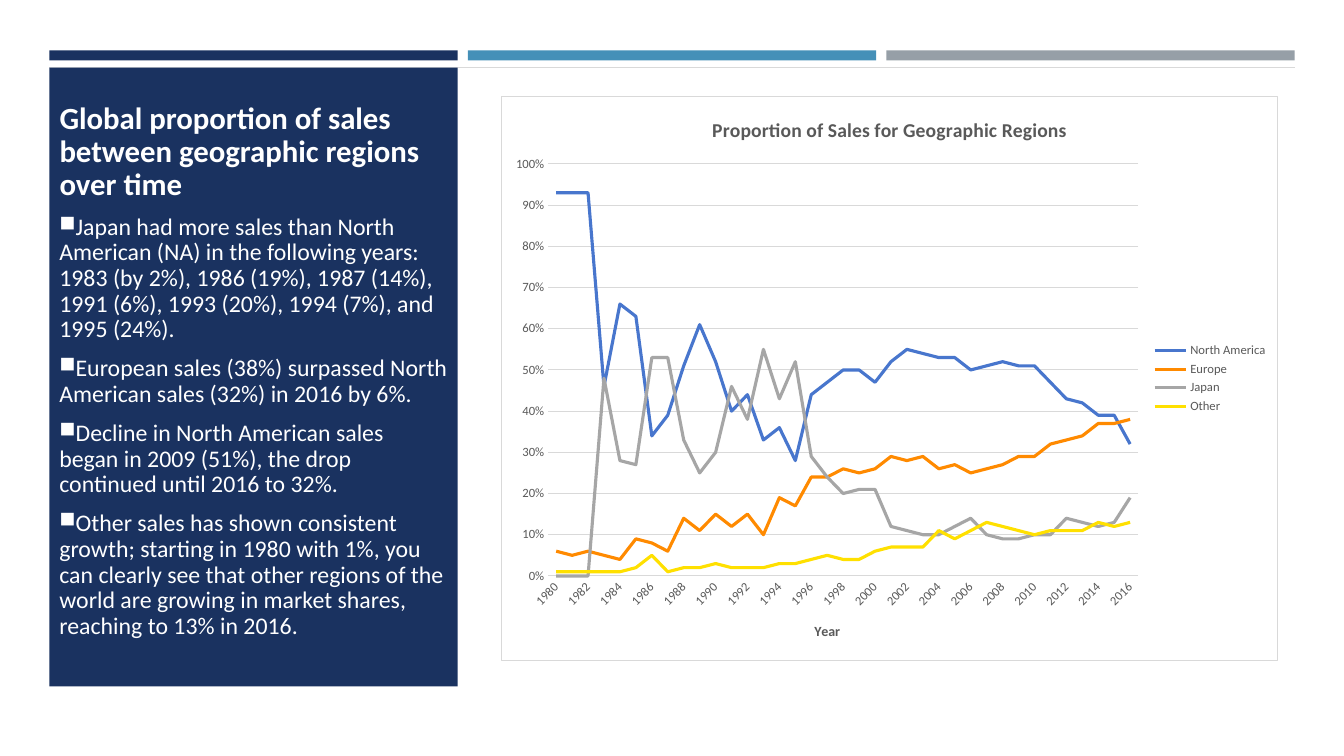
from dataclasses import dataclass

from lxml import etree
from pptx import Presentation
from pptx.chart.data import CategoryChartData
from pptx.dml.color import RGBColor
from pptx.enum.chart import XL_CHART_TYPE, XL_LEGEND_POSITION, XL_TICK_MARK
from pptx.enum.shapes import MSO_CONNECTOR, MSO_SHAPE
from pptx.enum.text import MSO_ANCHOR, MSO_AUTO_SIZE, PP_ALIGN
from pptx.oxml import parse_xml
from pptx.oxml.ns import nsdecls, qn
from pptx.util import Inches, Pt

RECT = MSO_SHAPE.RECTANGLE
STRAIGHT = MSO_CONNECTOR.STRAIGHT
LINE_CHART = XL_CHART_TYPE.LINE
LEGEND_RIGHT = XL_LEGEND_POSITION.RIGHT
NO_TICK = XL_TICK_MARK.NONE
TOP = MSO_ANCHOR.TOP
LEFT = PP_ALIGN.LEFT
NO_FIT = MSO_AUTO_SIZE.NONE

FONT = "Calibri"
COLORS = {
    "navy": "1A3260", "blue": "4590B8", "slate": "969FA7", "white": "FFFFFF",
    "rule": "D9D9D9", "label": "595959", "america": "4876CD",
    "europe": "FF8A00", "japan": "A6A6A6", "other": "FFE000",
}

# Three equal columns, in inches
MARGIN, COL_W, GAP = 0.49, 4.05, 0.1
BAND_TOP, BAND_H = 0.5, 0.1
PANEL_TOP, PANEL_H = 0.67, 6.14


@dataclass
class Region:
    name: str
    color: str
    percents: list[int]


YEARS = range(1980, 2017)
REGIONS = [
    Region("North America", "america", [
        93, 93, 93, 46, 66, 63, 34, 39, 51, 61, 52, 40, 44, 33, 36, 28, 44, 47, 50,
        50, 47, 52, 55, 54, 53, 53, 50, 51, 52, 51, 51, 47, 43, 42, 39, 39, 32]),
    Region("Europe", "europe", [
        6, 5, 6, 5, 4, 9, 8, 6, 14, 11, 15, 12, 15, 10, 19, 17, 24, 24, 26,
        25, 26, 29, 28, 29, 26, 27, 25, 26, 27, 29, 29, 32, 33, 34, 37, 37, 38]),
    Region("Japan", "japan", [
        0, 0, 0, 48, 28, 27, 53, 53, 33, 25, 30, 46, 38, 55, 43, 52, 29, 24, 20,
        21, 21, 12, 11, 10, 10, 12, 14, 10, 9, 9, 10, 10, 14, 13, 12, 13, 19]),
    Region("Other", "other", [
        1, 1, 1, 1, 1, 2, 5, 1, 2, 2, 3, 2, 2, 2, 3, 3, 4, 5, 4,
        4, 6, 7, 7, 7, 11, 9, 11, 13, 12, 11, 10, 11, 11, 11, 13, 12, 13]),
]

TITLE = "Global proportion of sales between geographic regions over time"
FINDINGS = [
    "Japan had more sales than North American (NA) in the following years: "
    "1983 (by 2%), 1986 (19%), 1987 (14%), 1991 (6%), 1993 (20%), 1994 (7%), "
    "and 1995 (24%).",
    "European sales (38%) surpassed North American sales (32%) in 2016 by 6%.",
    "Decline in North American sales began in 2009 (51%), the drop continued "
    "until 2016 to 32%.",
    "Other sales has shown consistent growth; starting in 1980 with 1%, you can "
    "clearly see that other regions of the world are growing in market shares, "
    "reaching to 13% in 2016.",
]


def rgb(name: str) -> RGBColor:
    return RGBColor.from_string(COLORS[name])


def col_left(col: int) -> float:
    return MARGIN + col * (COL_W + GAP)


def add_block(s, col: int, top: float, height: float, color: str) -> None:
    sp = s.shapes.add_shape(RECT, Inches(col_left(col)), Inches(top),
                            Inches(COL_W), Inches(height))
    sp.shadow.inherit = False
    sp.fill.solid()
    sp.fill.fore_color.rgb = rgb(color)
    sp.line.fill.background()


def style_font(font, size: float, color: str, bold: bool = False) -> None:
    font.name, font.size, font.bold = FONT, Pt(size), bold
    font.color.rgb = rgb(color)


def style_frame(tf) -> None:
    tf.word_wrap = True
    tf.auto_size = NO_FIT
    tf.vertical_anchor = TOP


def style_paragraph(p, size: float, bold: bool = False) -> None:
    p.alignment = LEFT
    p.line_spacing = 0.9
    p.space_after = Pt(6)
    for r in p.runs:
        style_font(r.font, size, "white", bold)


def add_bullet(p) -> None:
    pPr = p._p.get_or_add_pPr()
    pPr.set("marL", "0")
    pPr.set("indent", str(-Inches(0.25)))
    etree.SubElement(pPr, qn("a:buSzPct")).set("val", "92000")
    etree.SubElement(pPr, qn("a:buChar")).set("char", "■")


def set_caption(holder, text: str, size: float) -> None:
    tf = holder.text_frame
    tf.text = text
    style_font(tf.paragraphs[0].runs[0].font, size, "label", True)


def set_plot_layout(chart, x: float, y: float, w: float, h: float) -> None:
    plot_area = chart._chartSpace.chart.plotArea
    for old in plot_area.findall(qn("c:layout")):
        plot_area.remove(old)
    shares = "".join(f'<c:{tag} val="{val}"/>' for tag, val in zip("xywh", (x, y, w, h)))
    plot_area.insert(0, parse_xml(
        f'<c:layout {nsdecls("c")}><c:manualLayout><c:layoutTarget val="inner"/>'
        f'<c:xMode val="edge"/><c:yMode val="edge"/>{shares}'
        '</c:manualLayout></c:layout>'))


def set_chart_border(chart) -> None:
    chart._chartSpace.chart.addnext(parse_xml(
        f'<c:spPr {nsdecls("c", "a")}><a:solidFill><a:srgbClr val="{COLORS["white"]}"/>'
        f'</a:solidFill><a:ln w="{Pt(0.75)}"><a:solidFill>'
        f'<a:srgbClr val="{COLORS["rule"]}"/></a:solidFill></a:ln></c:spPr>'))


def style_line(line, color: str, width: float) -> None:
    line.color.rgb = rgb(color)
    line.width = Pt(width)


prs = Presentation()
prs.slide_width, prs.slide_height = Inches(13.33), Inches(7.5)
s = prs.slides.add_slide(prs.slide_layouts[5])

# Top bands, rule and side panel
for col, color in enumerate(("navy", "blue", "slate")):
    add_block(s, col, BAND_TOP, BAND_H, color)
rule = s.shapes.add_connector(STRAIGHT, Inches(col_left(0)), Inches(PANEL_TOP),
                              Inches(col_left(2) + COL_W), Inches(PANEL_TOP))
style_line(rule.line, "rule", 0.5)
etree.SubElement(rule._element.spPr, qn("a:effectLst"))
add_block(s, 0, PANEL_TOP, PANEL_H, "navy")

# Title, raised above the panel
title = s.shapes.title
title.left, title.top = Inches(MARGIN), Inches(0.97)
title.width, title.height = Inches(COL_W), Inches(1.1)
s.shapes._spTree.append(title._element)
title.text_frame.text = TITLE
style_frame(title.text_frame)
style_paragraph(title.text_frame.paragraphs[0], 22, True)

# Findings
box = s.shapes.add_textbox(Inches(MARGIN), Inches(2.08), Inches(COL_W), Inches(4.4))
tf = box.text_frame
tf.text = "\n".join(FINDINGS)
style_frame(tf)
for i, p in enumerate(tf.paragraphs):
    style_paragraph(p, 17)
    p.space_before = Pt(3.4 if i else 0)
    add_bullet(p)

# Sales chart
data = CategoryChartData(number_format="0%")
data.categories = [str(year) for year in YEARS]
for region in REGIONS:
    data.add_series(region.name, [pct / 100 for pct in region.percents])
chart = s.shapes.add_chart(LINE_CHART, Inches(4.97), Inches(0.95),
                           Inches(7.71), Inches(5.61), data).chart
style_font(chart.font, 10, "label")
set_chart_border(chart)
set_plot_layout(chart, 0.06, 0.12, 0.76, 0.73)
chart.has_title = True
set_caption(chart.chart_title, "Proportion of Sales for Geographic Regions", 14)
chart.has_legend = True
chart.legend.position = LEGEND_RIGHT
chart.legend.include_in_layout = False
style_font(chart.legend.font, 9, "label")

plot = chart.plots[0]
plot.vary_by_categories = False
for series, region in zip(plot.series, REGIONS):
    series.smooth = False
    style_line(series.format.line, region.color, 2.25)

# Axes
years, shares = chart.category_axis, chart.value_axis
for axis in (years, shares):
    axis.major_tick_mark = axis.minor_tick_mark = NO_TICK
    style_font(axis.tick_labels.font, 9, "label")
style_line(years.format.line, "rule", 0.75)
set_caption(years.axis_title, "Year", 10)
years._element.txPr.find(qn("a:bodyPr")).set("rot", "-2700000")
years._element.find(qn("c:noMultiLvlLbl")).addprevious(
    parse_xml(f'<c:tickLblSkip {nsdecls("c")} val="2"/>'))
shares.minimum_scale, shares.maximum_scale, shares.major_unit = 0, 1, 0.1
shares.tick_labels.number_format = "0%"
shares.tick_labels.number_format_is_linked = False
shares.format.line.fill.background()
style_line(shares.major_gridlines.format.line, "rule", 0.75)

prs.save("out.pptx")
